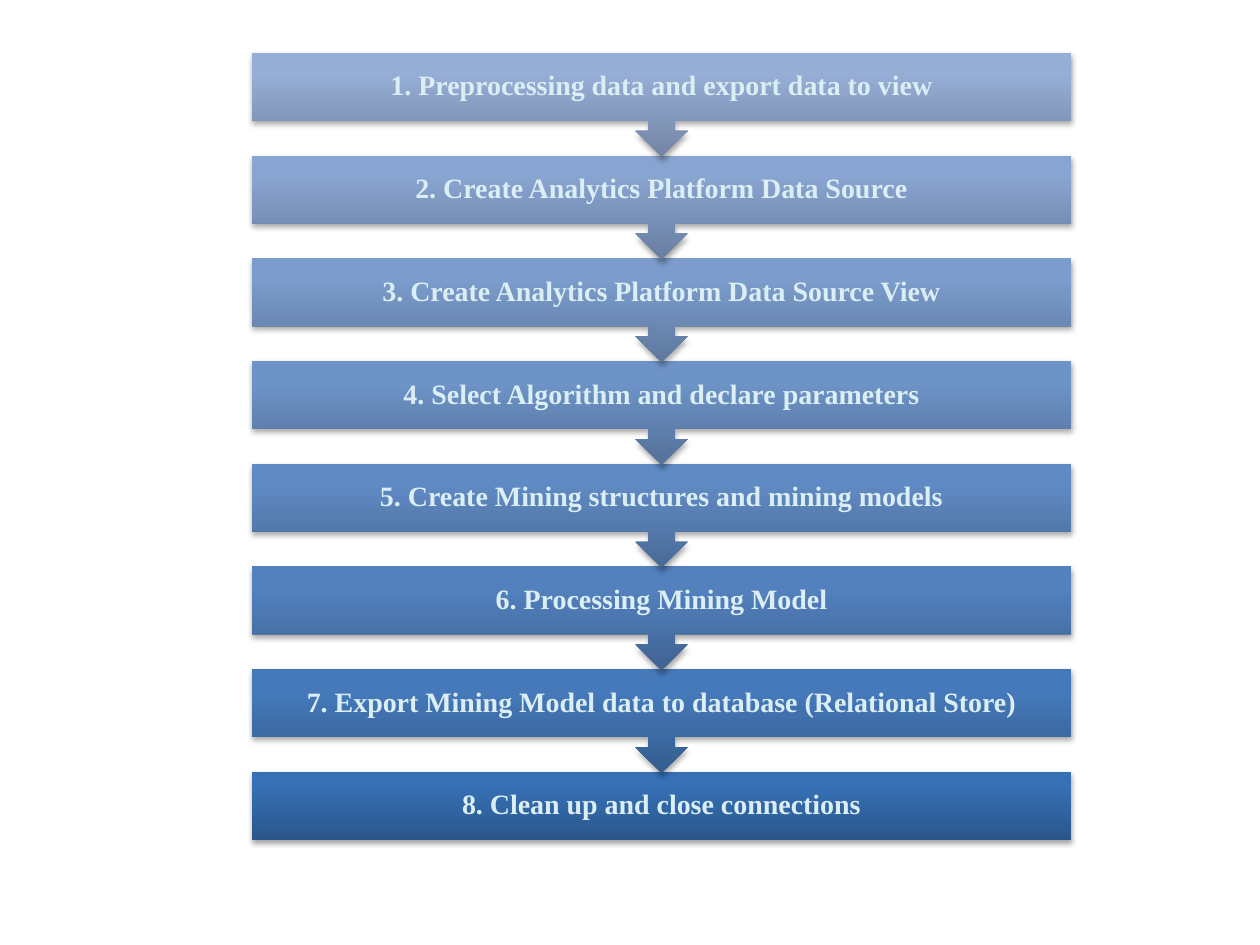
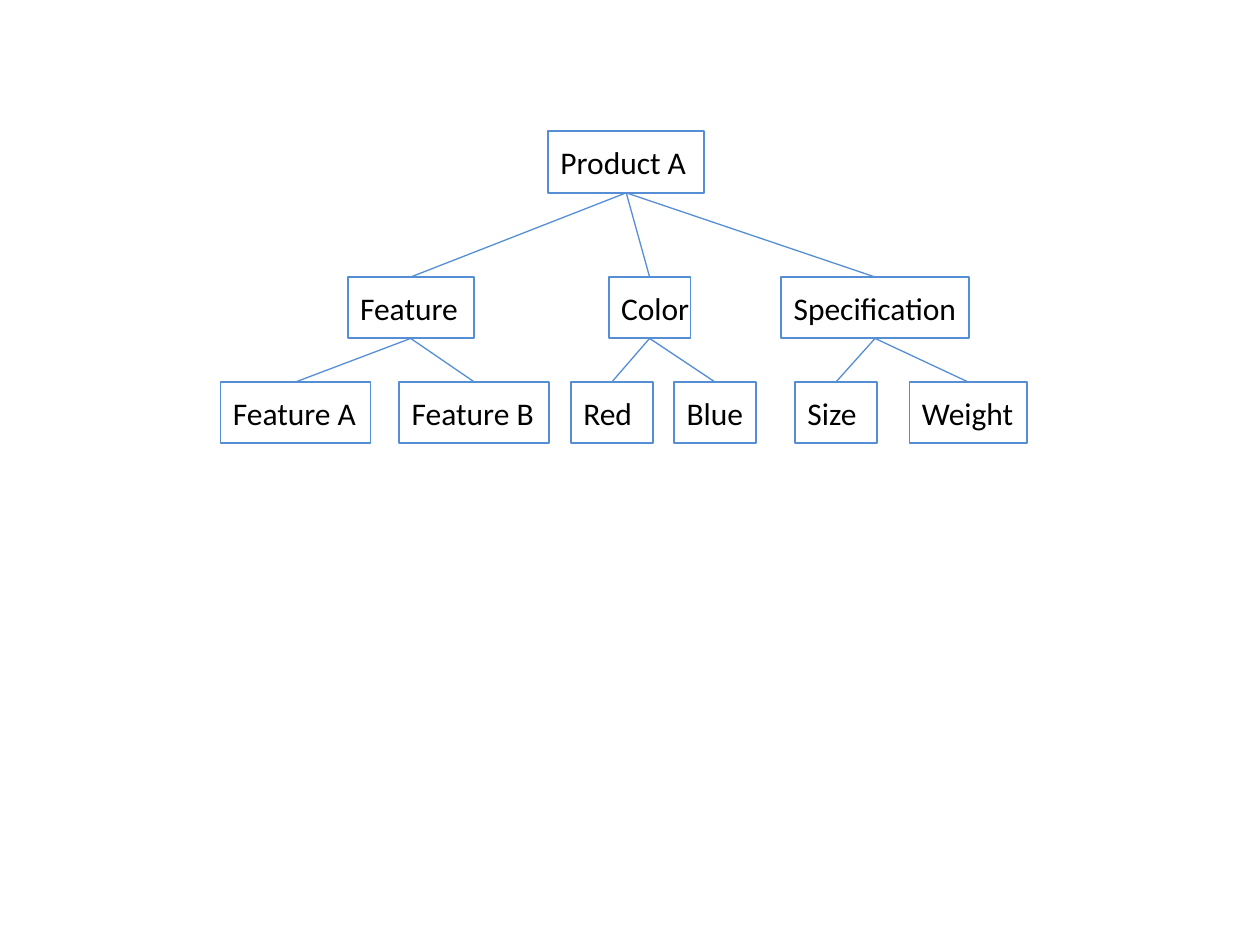
from lxml.etree import SubElement
from pptx import Presentation
from pptx.dml.color import RGBColor as Rgb
from pptx.enum.shapes import MSO_CONNECTOR as Link, MSO_SHAPE as Kind
from pptx.enum.text import MSO_ANCHOR as Anchor, PP_ALIGN as Align
from pptx.oxml import parse_xml
from pptx.oxml.ns import nsdecls, qn
from pptx.util import Pt

HEX = {"pale": "DBEEF4", "edge": "558ED5", "box": "FFFFFF", "ink": "000000"}

# Gradient stops (percent: colour) of the first and the last step
FIRST = {0: "7385A4", 80: "96ADD5", 100: "95ADD7"}
LAST = {0: "2A568B", 80: "3770B5", 100: "3570B8"}

STEPS = [
    "1. Preprocessing data and export data to view",
    "2. Create Analytics Platform Data Source",
    "3. Create Analytics Platform Data Source View",
    "4. Select Algorithm and declare parameters",
    "5. Create Mining structures and mining models",
    "6. Processing Mining Model",
    "7. Export Mining Model data to database (Relational Store)",
    "8. Clean up and close connections",
]

# Node: label, left, width, children
TREE = ("Product A", 187.2, 89.3, [
    ("Feature", 72.7, 72, [
        ("Feature A", 0, 85.7, []),
        ("Feature B", 102.2, 85.7, []),
    ]),
    ("Color", 221.8, 46.8, [
        ("Red", 200.2, 46.8, []),
        ("Blue", 259.2, 46.8, []),
    ]),
    ("Specification", 320.4, 107.3, [
        ("Size", 328.3, 46.8, []),
        ("Weight", 393.8, 67, []),
    ]),
])
ROWS = [0, 83.2, 143.2]
NODE_H = 35.1


def color(name):
    return Rgb.from_string(HEX[name])


def write(frame, text, font, size, ink, bold=False):
    frame.text = text
    style = frame.paragraphs[0].runs[0].font
    style.name, style.size, style.bold = font, Pt(size), bold
    style.color.rgb = color(ink)


def mix(start, end, share):
    pairs = zip(Rgb.from_string(start), Rgb.from_string(end))
    return str(Rgb(*(round(a + (b - a) * share) for a, b in pairs)))


def shade(shape, share):
    """Fill with the gradient that lies at this share of the way, and cast a soft shadow."""
    stops = "".join(
        f'<a:gs pos="{pos * 1000}"><a:srgbClr val="{mix(FIRST[pos], LAST[pos], share)}"/></a:gs>'
        for pos in FIRST)
    shape.line.fill.background()
    props = shape._element.spPr
    grad = parse_xml(
        f'<a:gradFill {nsdecls("a")} rotWithShape="0"><a:gsLst>{stops}</a:gsLst>'
        '<a:lin ang="16200000" scaled="0"/></a:gradFill>')
    props.find(qn("a:prstGeom")).addnext(grad)
    props.append(parse_xml(
        f'<a:effectLst {nsdecls("a")}><a:outerShdw blurRad="{Pt(3.1)}" dist="{Pt(1.8)}" '
        'dir="5400000" rotWithShape="0"><a:srgbClr val="000000"><a:alpha val="35000"/>'
        '</a:srgbClr></a:outerShdw></a:effectLst>'))


def add_step(slide, text, share, left, top, width, pitch):
    bar = 38.9
    if share == 1:
        shape = slide.shapes.add_shape(Kind.RECTANGLE, Pt(left), Pt(top), Pt(width), Pt(bar))
    else:
        shape = slide.shapes.add_shape(
            Kind.UP_ARROW_CALLOUT, Pt(left), Pt(top), Pt(width), Pt(pitch + 0.8))
        shape.rotation = 180
        for i, part in enumerate([0.25, 0.25, 0.25, 0.65]):
            shape.adjustments[i] = part
    shade(shape, share)

    frame = slide.shapes.add_textbox(Pt(left), Pt(top), Pt(width), Pt(bar)).text_frame
    frame.word_wrap = True
    frame.vertical_anchor = Anchor.MIDDLE
    frame.margin_left = frame.margin_right = Pt(8.6)
    frame.margin_top = frame.margin_bottom = Pt(8.6)
    write(frame, text, "Times New Roman", 16, "pale", True)
    line = frame.paragraphs[0]
    line.alignment, line.line_spacing = Align.CENTER, 0.9


def add_flow(slide, left, top, width, pitch):
    """Stack the steps from the last up, so that each arrow lies over the next bar."""
    for i, text in reversed(list(enumerate(STEPS))):
        add_step(slide, text, i / (len(STEPS) - 1), left, top + i * pitch, width, pitch)


def add_link(slide, parent, child):
    link = slide.shapes.add_connector(Link.STRAIGHT, 0, 0, 0, 0)
    link.begin_connect(parent, 2)
    link.end_connect(child, 0)
    link.line.color.rgb = color("edge")
    link.line.width = Pt(0.75)
    SubElement(link._element.spPr, qn("a:effectLst"))


def add_tree(slide, node, left, top, level=0):
    """Draw a node and all below it, and return the node's box."""
    text, x, width, kids = node
    box = slide.shapes.add_shape(
        Kind.RECTANGLE, Pt(left + x), Pt(top + ROWS[level]), Pt(width), Pt(NODE_H))
    box.shadow.inherit = False
    box.fill.solid()
    box.fill.fore_color.rgb = color("box")
    box.line.color.rgb = color("edge")
    box.line.width = Pt(1)
    frame = box.text_frame
    frame.word_wrap = False
    frame.vertical_anchor = Anchor.MIDDLE
    write(frame, text, "Calibri", 18, "ink")
    frame.paragraphs[0].alignment = Align.LEFT
    for kid in kids:
        add_link(slide, box, add_tree(slide, kid, left, top, level + 1))
    return box


def main():
    deck = Presentation()
    deck.slide_width, deck.slide_height = Pt(720), Pt(540)
    blank = deck.slide_layouts[6]
    add_flow(deck.slides.add_slide(blank), 144, 30.2, 468, 58.7)
    add_tree(deck.slides.add_slide(blank), TREE, 126, 75.1)
    deck.save("out.pptx")


if __name__ == "__main__":
    main()
